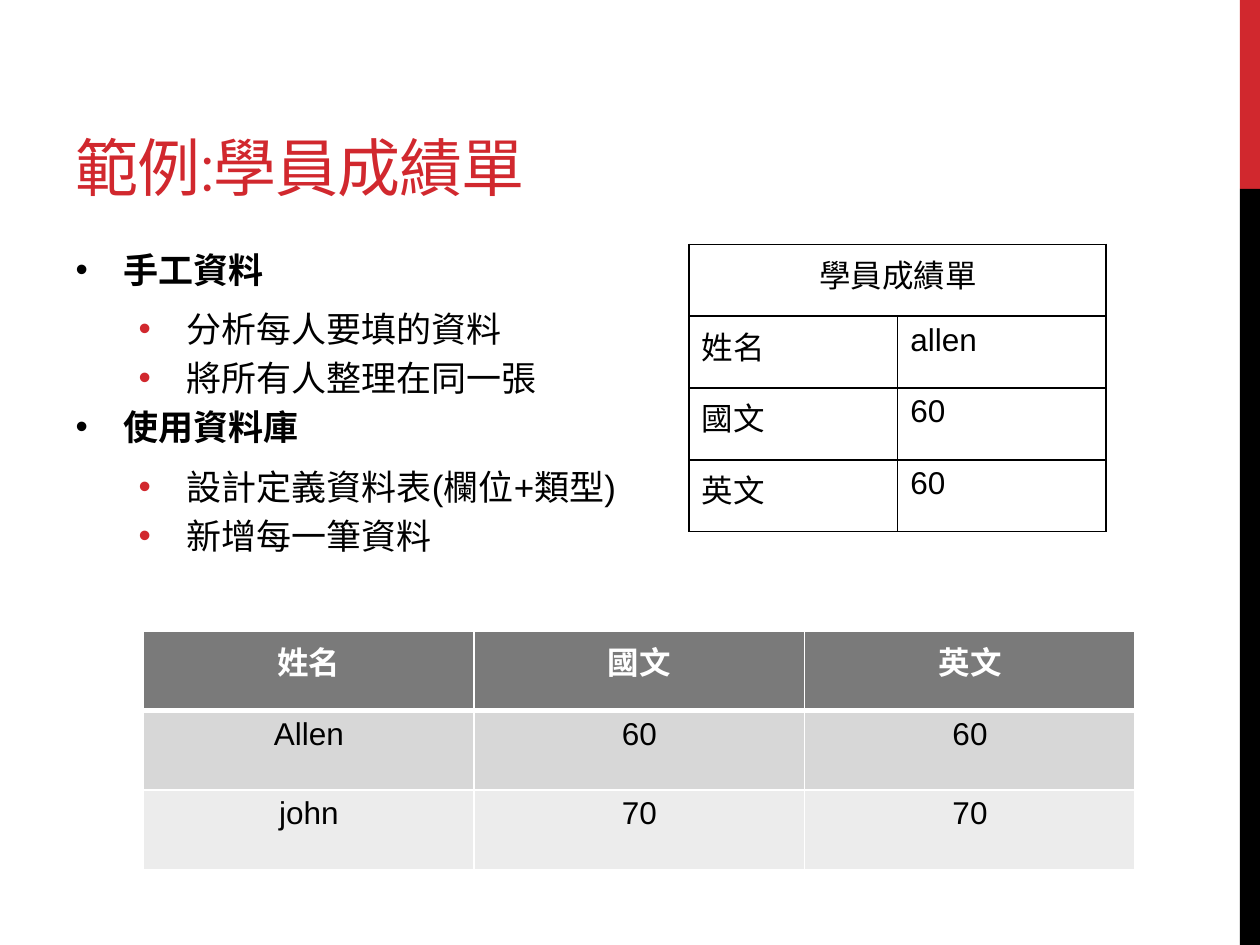
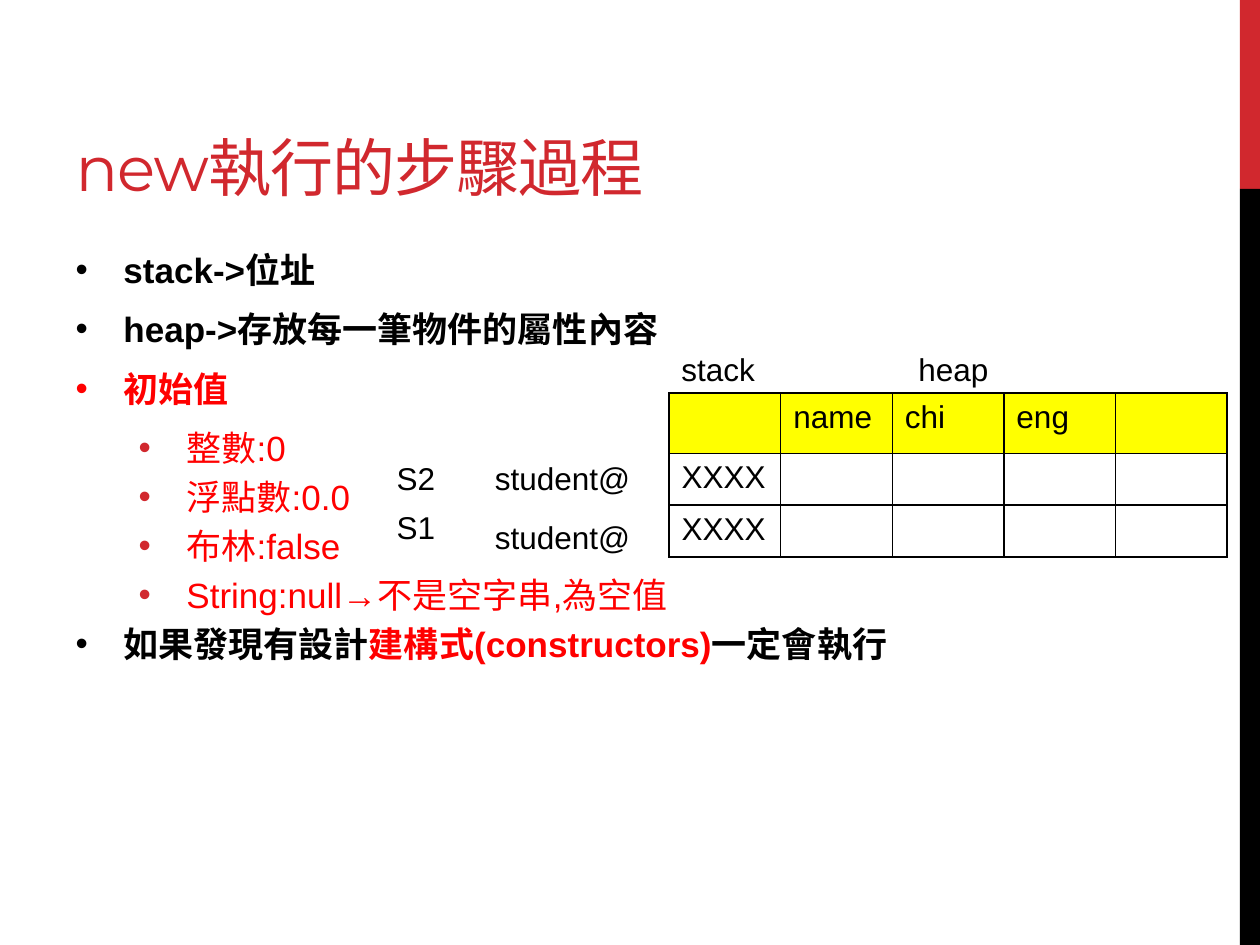
import pptx
import pptx.util
import pptx.dml.color
import pptx.enum.shapes
import pptx.enum.text
import pptx.oxml
import pptx.oxml.ns
from lxml import etree

Inches = pptx.util.Inches
Pt = pptx.util.Pt
ALIGN = pptx.enum.text.PP_ALIGN
ANCHOR = pptx.enum.text.MSO_ANCHOR
AUTO_SIZE = pptx.enum.text.MSO_AUTO_SIZE

ACCENT, BLACK, WHITE = "D1282E", "000000", "FFFFFF"
RED, YELLOW = "FF0000", "FFFF00"
HEADER_GREY, DARK_GREY, LIGHT_GREY = "7A7A7A", "D7D7D7", "ECECEC"
TITLE_FONT, BODY_FONT = "Montserrat", "Arial"
INDENT = 0.38


def rgb(hex_code):
    return pptx.dml.color.RGBColor.from_string(hex_code)


def add_element(parent, tag, **attributes):
    element = etree.SubElement(parent, pptx.oxml.ns.qn(tag))
    for name, value in attributes.items():
        element.set(name, str(value))
    return element


def add_span(para, text, size=18, color=BLACK, bold=False, font=BODY_FONT):
    span = para.add_run()
    span.text = text
    span.font.name = font
    span.font.size = Pt(size)
    span.font.bold = bold
    span.font.color.rgb = rgb(color)
    return span


def place(shape, left, top, width, height):
    shape.left, shape.top = Inches(left), Inches(top)
    shape.width, shape.height = Inches(width), Inches(height)


def add_side_bands(page):
    """Draw the right-hand bands and move them to the shared layout."""
    layout_tree = page.slide_layout.shapes.element
    for top, height, color in ((0, 1.5, ACCENT), (1.5, 6, BLACK)):
        band = page.shapes.add_shape(
            pptx.enum.shapes.MSO_SHAPE.RECTANGLE,
            Inches(9.84), Inches(top), Inches(0.16), Inches(height))
        band.shadow.inherit = False
        band.fill.solid()
        band.fill.fore_color.rgb = rgb(color)
        band.line.fill.background()
        layout_tree.append(band.element)


def set_title(page, text):
    title = page.shapes.title
    place(title, 0.5, 0.17, 6.33, 1.5)
    frame = title.text_frame
    frame.vertical_anchor = ANCHOR.BOTTOM
    frame.auto_size = AUTO_SIZE.NONE
    para = frame.paragraphs[0]
    para.alignment = ALIGN.LEFT
    span = add_span(para, text, 36, ACCENT, font=TITLE_FONT)
    span.font._element.set("spc", "-60")


def set_bullet(para, level):
    properties = para._p.get_or_add_pPr()
    properties.set("marL", str(Inches(INDENT + 0.5 * level)))
    properties.set("indent", str(Inches(-INDENT)))
    if level:
        add_element(add_element(properties, "a:buClr"), "a:srgbClr", val=ACCENT)
    add_element(properties, "a:buFont", typeface=BODY_FONT)
    add_element(properties, "a:buChar", char="•")


def set_body(page, items):
    """Fill the list; each item is a level and its (text, colour) pairs."""
    body = page.placeholders[1]
    place(body, 0.5, 1.92, 8.33, 4.78)
    frame = body.text_frame
    frame.auto_size = AUTO_SIZE.NONE
    for index, (level, spans) in enumerate(items):
        para = frame.add_paragraph() if index else frame.paragraphs[0]
        para.level = level
        para.space_after = Pt(0 if level else 6)
        set_bullet(para, level)
        for text, color in spans:
            add_span(para, text, 20, color, bold=level == 0)


def set_borders(cell, color, top=1, bottom=1):
    properties = cell._tc.get_or_add_tcPr()
    for side, width in (("L", 1), ("R", 1), ("T", top), ("B", bottom)):
        line = add_element(properties, "a:ln" + side, w=Pt(width))
        add_element(add_element(line, "a:solidFill"), "a:srgbClr", val=color)


def add_grid(page, left, top, width, heights, rows, fills, border=BLACK,
             centred=False, header_text=BLACK, header_rule=1):
    """Add a table with equal columns and one fill (or None) per row."""
    columns = len(rows[0])
    grid = page.shapes.add_table(
        len(rows), columns, Inches(left), Inches(top),
        Inches(width), Inches(sum(heights))).table
    grid.first_row = grid.horz_banding = False
    for column in grid.columns:
        column.width = Inches(width / columns)
    for r, (texts, fill) in enumerate(zip(rows, fills)):
        grid.rows[r].height = Inches(heights[r])
        for c, text in enumerate(texts):
            cell = grid.cell(r, c)
            set_borders(cell, border, top=header_rule if r == 1 else 1,
                        bottom=header_rule if r == 0 else 1)
            if fill:
                cell.fill.solid()
                cell.fill.fore_color.rgb = rgb(fill)
            else:
                cell.fill.background()
            para = cell.text_frame.paragraphs[0]
            para.alignment = ALIGN.CENTER if centred else ALIGN.LEFT
            if text:
                add_span(para, text, color=header_text if r == 0 else BLACK,
                         bold=r == 0 and header_text != BLACK)
    return grid


def add_label(page, text, left, top, width):
    box = page.shapes.add_textbox(
        Inches(left), Inches(top), Inches(width), Inches(0.4))
    frame = box.text_frame
    frame.word_wrap = True
    frame.auto_size = AUTO_SIZE.SHAPE_TO_FIT_TEXT
    add_span(frame.paragraphs[0], text)


def build_report_card(page):
    set_title(page, "範例:學員成績單")
    set_body(page, [
        (0, [("手工資料", BLACK)]),
        (1, [("分析每人要填的資料", BLACK)]),
        (1, [("將所有人整理在同一張", BLACK)]),
        (0, [("使用資料庫", BLACK)]),
        (1, [("設計定義資料表(欄位+類型)", BLACK)]),
        (1, [("新增每一筆資料", BLACK)]),
    ])
    card = add_grid(
        page, 5.47, 1.94, 3.31, [0.57] * 4,
        [["學員成績單", ""], ["姓名", "allen"], ["國文", "60"], ["英文", "60"]],
        [None] * 4)
    card.cell(0, 0).merge(card.cell(0, 1))
    card.cell(0, 0).text_frame.paragraphs[0].alignment = ALIGN.CENTER
    add_grid(
        page, 1.14, 5.01, 7.87, [0.63] * 3,
        [["姓名", "國文", "英文"], ["Allen", "60", "60"], ["john", "70", "70"]],
        [HEADER_GREY, DARK_GREY, LIGHT_GREY], border=WHITE, centred=True,
        header_text=WHITE, header_rule=3)


def build_new_steps(page):
    set_title(page, "new執行的步驟過程")
    set_body(page, [
        (0, [("stack->位址", BLACK)]),
        (0, [("heap->存放每一筆物件的屬性內容", BLACK)]),
        (0, [("初始值", RED)]),
        (1, [("整數:0", RED)]),
        (1, [("浮點數:0.0", RED)]),
        (1, [("布林:false", RED)]),
        (1, [("String:null→不是空字串,為空值", RED)]),
        (0, [("如果發現有設計", BLACK), ("建構式(constructors)", RED),
             ("一定會執行", BLACK)]),
    ])
    student = ["XXXX", "", "", "", ""]
    add_grid(page, 5.31, 3.12, 4.43, [0.48, 0.41, 0.41],
             [["", "name", "chi", "eng", ""], student, student],
             [YELLOW, None, None])
    for text, left, top, width in (
            ("stack", 5.31, 2.73, 0.79), ("heap", 7.19, 2.73, 1.02),
            ("student@", 3.83, 3.59, 1.48), ("S1", 3.05, 3.98, 0.63),
            ("S2", 3.05, 3.59, 0.63), ("student@", 3.83, 4.06, 1.48)):
        add_label(page, text, left, top, width)


def main():
    deck = pptx.Presentation()
    deck.slide_width, deck.slide_height = Inches(10), Inches(7.5)
    layout = deck.slide_layouts[1]
    pages = [deck.slides.add_slide(layout) for _ in range(2)]
    add_side_bands(pages[0])
    build_report_card(pages[0])
    build_new_steps(pages[1])
    deck.save("out.pptx")


if __name__ == "__main__":
    main()
